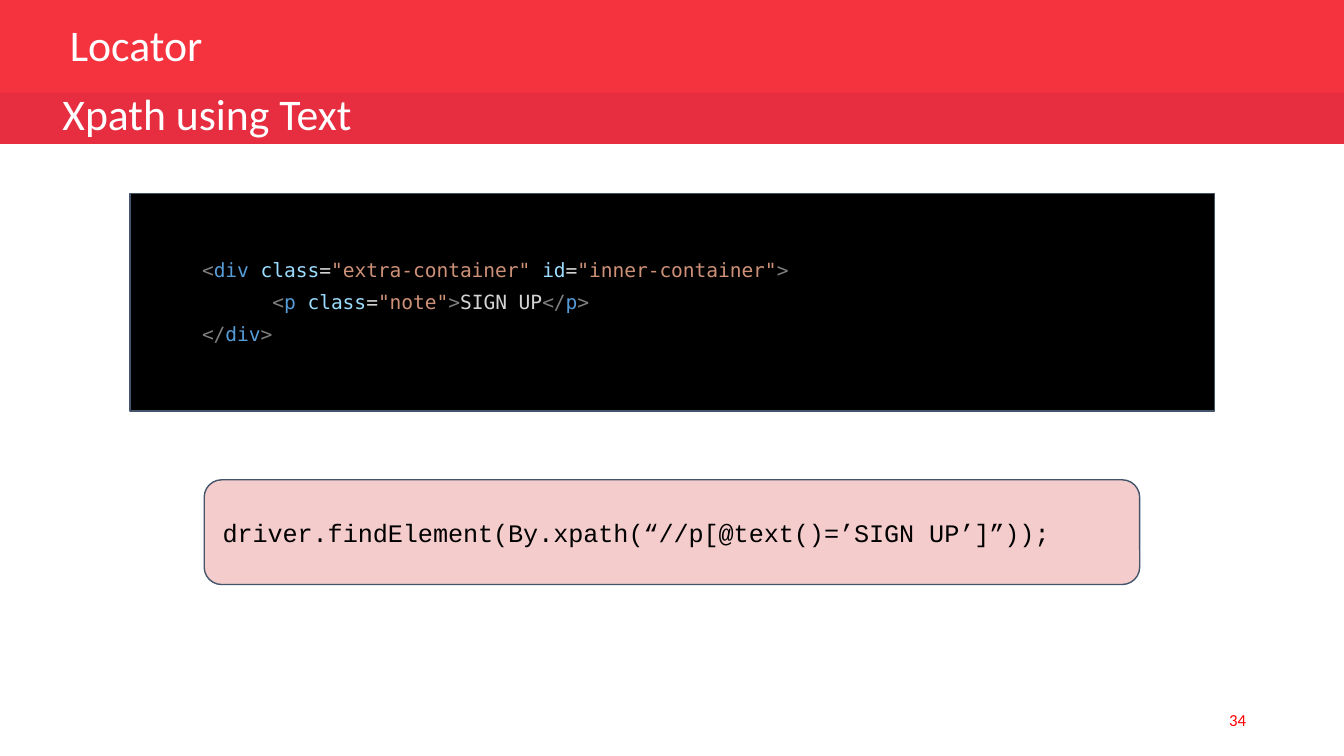
"""Build the slide on locating an element by its text with XPath."""
from pptx import Presentation
from pptx.dml.color import RGBColor
from pptx.enum.shapes import MSO_SHAPE
from pptx.enum.text import MSO_ANCHOR, PP_ALIGN
from pptx.util import Cm, Pt

RECT, ROUND = MSO_SHAPE.RECTANGLE, MSO_SHAPE.ROUNDED_RECTANGLE
MIDDLE = MSO_ANCHOR.MIDDLE
LEFT, RIGHT = PP_ALIGN.LEFT, PP_ALIGN.RIGHT

MARK, TAG, ATTR, PLAIN, VALUE = "808080", "569CD6", "9CDCFE", "D4D4D4", "CE9178"
CODE = [
    [("     ", PLAIN), ("<", MARK), ("div ", TAG), ("class", ATTR), ("=", PLAIN),
     ('"extra-container" ', VALUE), ("id", ATTR), ("=", PLAIN),
     ('"inner-container"', VALUE), (">", MARK)],
    [("           ", PLAIN), ("<", MARK), ("p ", TAG), ("class", ATTR), ("=", PLAIN),
     ('"note"', VALUE), (">", MARK), ("SIGN UP", PLAIN),
     ("</", MARK), ("p", TAG), (">", MARK)],
    [("     ", PLAIN), ("</", MARK), ("div", TAG), (">", MARK)],
]


def paint(hue):
    return RGBColor.from_string(hue)


def write(shape, lines, font="Calibri", size=23.4, space=0.8, align=LEFT,
          pad=(0.25, 0.13, 0.25, 0.13)):
    frame = shape.text_frame
    frame.word_wrap = True
    frame.vertical_anchor = MIDDLE
    (frame.margin_left, frame.margin_top,
     frame.margin_right, frame.margin_bottom) = map(Cm, pad)
    for row, parts in enumerate(lines):
        para = frame.add_paragraph() if row else frame.paragraphs[0]
        para.alignment = align
        para.line_spacing = space
        for text, hue in parts:
            run = para.add_run()
            run.text = text
            run.font.name = font
            run.font.size = Pt(size)
            run.font.color.rgb = paint(hue)


class Deck:
    def __init__(self):
        self.file = Presentation()
        self.file.slide_width, self.file.slide_height = Cm(25.4), Cm(14.29)
        self.slide = self.file.slides.add_slide(self.file.slide_layouts[6])
        self.edge = "44546A"

    def panel(self, x, y, w, h, fill, kind=RECT, line=False):
        shape = self.slide.shapes.add_shape(kind, Cm(x), Cm(y), Cm(w), Cm(h))
        shape.shadow.inherit = False
        shape.fill.solid()
        shape.fill.fore_color.rgb = paint(fill)
        if line:
            shape.line.color.rgb = paint(self.edge)
            shape.line.width = Pt(0.75)
        else:
            shape.line.fill.background()
        return shape

    def label(self, x, y, w, h, text, hue, **style):
        box = self.slide.shapes.add_textbox(Cm(x), Cm(y), Cm(w), Cm(h))
        write(box, [[(text, hue)]], **style)

    def save(self):
        self.file.save("out.pptx")


def main():
    deck = Deck()
    deck.panel(0, 0, 25.4, 1.78, "F5333F")
    deck.label(18.08, 13.23, 5.72, 0.76, "34", "FF0000", size=9, space=1.0, align=RIGHT)
    deck.label(1.07, 0.36, 11.91, 1.12, "Locator", "FFFFFF")

    band = deck.panel(0, 1.75, 25.4, 0.97, "E72D40")
    write(band, [[("Xpath using Text", "FFFFFF")]], pad=(1.18, 0.13, 0.25, 0.13))

    block = deck.panel(2.46, 3.66, 20.5, 4.11, "000000", line=True)
    write(block, CODE, font="DejaVu Sans Mono", size=10.5, space=1.36,
          pad=(0.25, 0.25, 0.25, 0.43))

    call = deck.panel(3.86, 9.07, 17.68, 1.98, "F4CCCC", kind=ROUND, line=True)
    write(call, [[("driver.findElement(By.xpath(“//p[@text()=’SIGN UP’]”));", "000000")]],
          font="Courier New", size=13.5, space=1.0, pad=(0.25, 0.25, 0.25, 0.25))
    deck.save()


if __name__ == "__main__":
    main()
